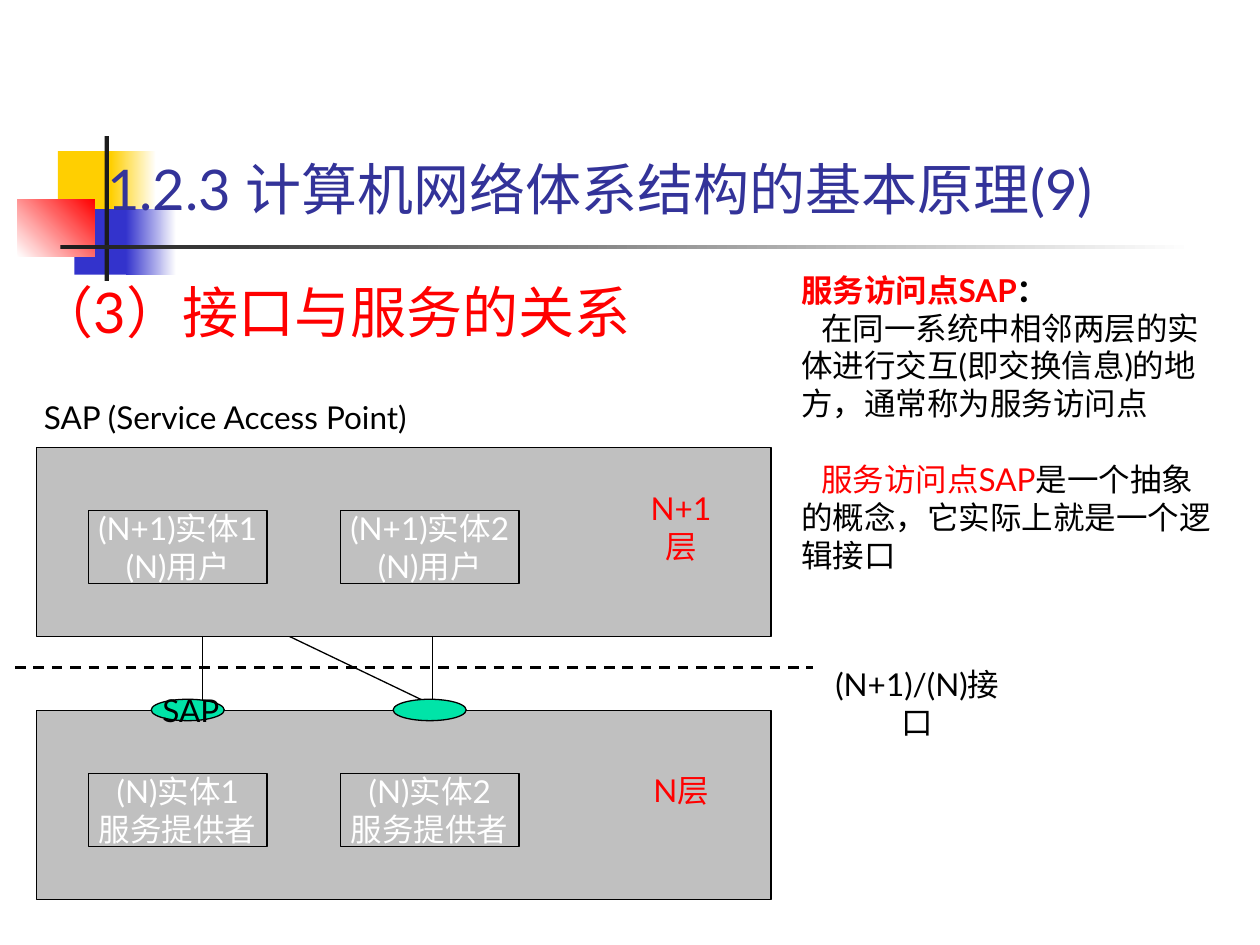
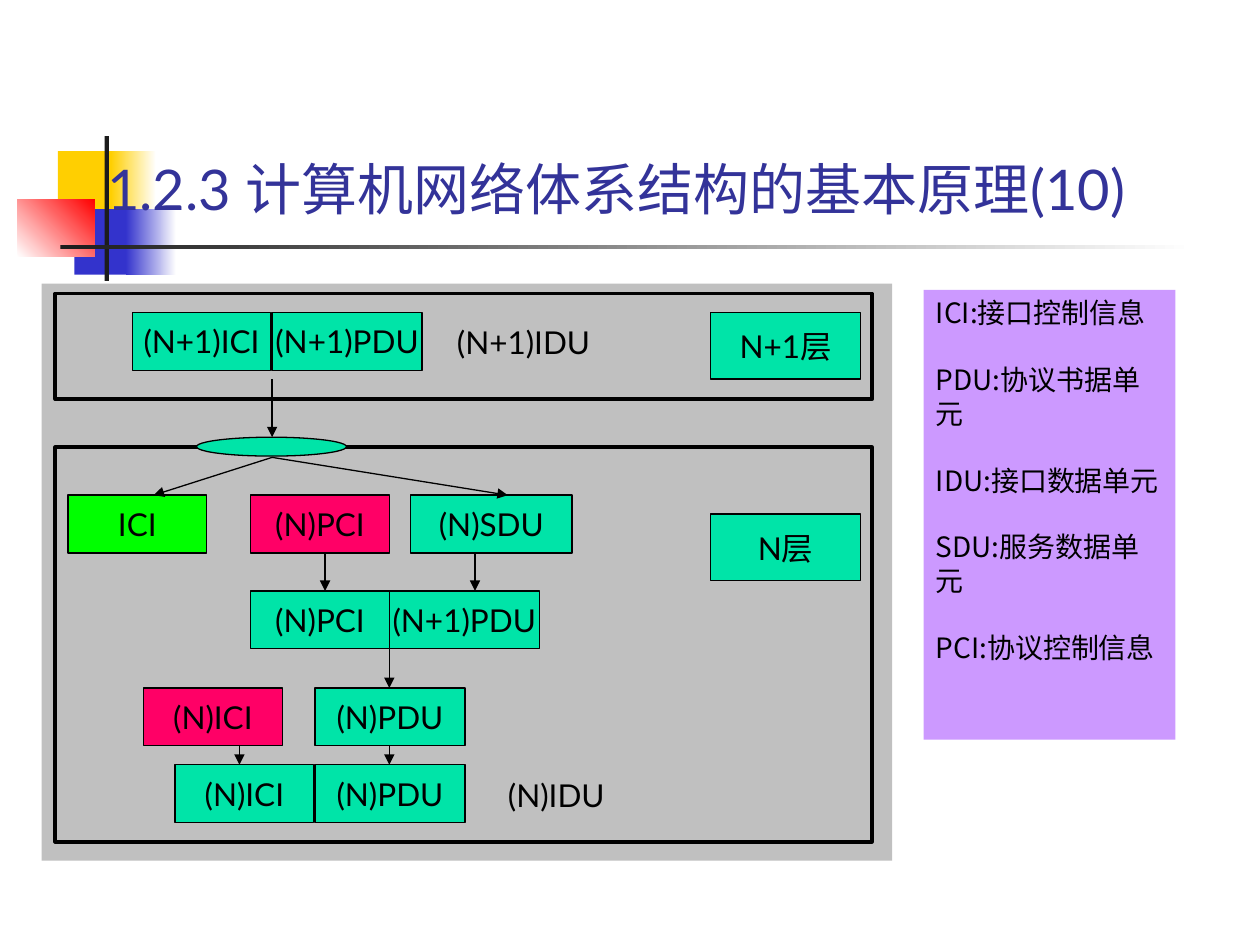
from lxml.etree import SubElement
from pptx import Presentation
from pptx.dml.color import RGBColor
from pptx.enum.dml import MSO_LINE
from pptx.enum.shapes import MSO_CONNECTOR, MSO_SHAPE
from pptx.enum.text import MSO_ANCHOR as Anchor, MSO_AUTO_SIZE, PP_ALIGN as Align
from pptx.oxml.ns import qn
from pptx.util import Inches, Pt

COLORS = {
    "black": "000000", "white": "FFFFFF", "red": "FF0000", "title": "333399",
    "gray": "C0C0C0", "mint": "00E4A8", "green": "00FF00", "pink": "FF0066",
    "lilac": "CC99FF", "yellow": "FFCF01", "blue": "3333CC", "ink": "1C1C1C",
}
LATIN, HAN = "Lato", "Noto Sans CJK SC"
TITLE_LAYOUT, LIST_LAYOUT = 5, 1
GRID_COLUMNS = 100  # square cells; the slide is 100 columns by 75 rows


def rgb(name):
    return RGBColor.from_string(COLORS[name])


class Deck:
    """Shared style and the slide being drawn; all lengths are grid cells."""

    def __init__(self):
        self.presentation = Presentation()
        self.presentation.slide_width = Inches(10)
        self.presentation.slide_height = Inches(7.5)
        self.cell = self.presentation.slide_width / GRID_COLUMNS
        self.slide = None

    def grid(self, *lengths):
        return [round(length * self.cell) for length in lengths]

    def new_slide(self, layout, title):
        layouts = self.presentation.slide_layouts
        self.slide = self.presentation.slides.add_slide(layouts[layout])
        self.placeholder(0, title, (7.5, 6.8, 89, 11.3), "title", Anchor.BOTTOM)

    def placeholder(self, index, text, area, color, anchor):
        shape = self.slide.placeholders[index]
        shape.left, shape.top, shape.width, shape.height = self.grid(*area)
        frame = shape.text_frame
        frame.text = text
        frame.auto_size = MSO_AUTO_SIZE.NONE
        self.format(frame, color, size=32, align=Align.LEFT, anchor=anchor, wrap=True)
        return frame.paragraphs[0]

    def heading(self, text, area):
        paragraph = self.placeholder(1, text, area, "red", Anchor.TOP)
        paragraph.line_spacing = 0.9
        paragraph.space_before = Pt(8)
        properties = paragraph._p.get_or_add_pPr()
        properties.set("marL", "0")
        properties.set("indent", "0")
        SubElement(properties, qn("a:buNone"))

    def style_run(self, run, color, size=18, bold=False, latin=LATIN):
        run.font.name = latin
        run.font.size = Pt(size)
        run.font.bold = bold
        run.font.color.rgb = rgb(color)
        SubElement(run._r.get_or_add_rPr(), qn("a:ea"), typeface=HAN)

    def format(self, frame, color, size=18, align=Align.CENTER,
               anchor=Anchor.MIDDLE, wrap=False, latin=LATIN):
        frame.word_wrap = wrap
        frame.vertical_anchor = anchor
        for paragraph in frame.paragraphs:
            paragraph.alignment = align
            for run in paragraph.runs:
                self.style_run(run, color, size, latin=latin)

    def shape(self, area, fill=None, line=0.75, kind=MSO_SHAPE.RECTANGLE):
        shape = self.slide.shapes.add_shape(kind, *self.grid(*area))
        shape.shadow.inherit = False
        if fill:
            shape.fill.solid()
            shape.fill.fore_color.rgb = rgb(fill)
        else:
            shape.fill.background()
        if line:
            shape.line.color.rgb = rgb("black")
            shape.line.width = Pt(line)
        else:
            shape.line.fill.background()
        return shape

    def fade(self, area, start, end, angle=0):
        fill = self.shape(area, line=0).fill
        fill.gradient()
        fill.gradient_angle = angle
        for stop, color in zip(fill.gradient_stops, (start, end)):
            stop.color.rgb = rgb(color)

    def box(self, text, area, fill="mint", color="black"):
        frame = self.shape(area, fill).text_frame
        frame.text = text
        self.format(frame, color)

    def port(self, area):
        self.shape(area, "mint", kind=MSO_SHAPE.OVAL)

    def label(self, text, area, color="black", **style):
        frame = self.slide.shapes.add_textbox(*self.grid(*area)).text_frame
        frame.text = text
        self.format(frame, color, **style)

    def rich_text(self, area, paragraphs):
        """Each paragraph is (indent, space before, [(text, color, bold), ...])."""
        frame = self.slide.shapes.add_textbox(*self.grid(*area)).text_frame
        frame.word_wrap = True
        for number, (indent, gap, pieces) in enumerate(paragraphs):
            paragraph = frame.add_paragraph() if number else frame.paragraphs[0]
            paragraph.space_before = Pt(gap)
            paragraph._p.get_or_add_pPr().set("indent", str(*self.grid(indent)))
            for text, color, bold in pieces:
                run = paragraph.add_run()
                run.text = text
                self.style_run(run, color, bold=bold)

    def glossary(self, terms, area, fill):
        frame = self.shape(area, fill, line=0).text_frame
        frame.text = "\n".join(terms)
        self.format(frame, "black", 16, Align.LEFT, Anchor.TOP, True, HAN)
        for paragraph in frame.paragraphs[1:]:
            paragraph.space_before = Pt(19)

    def line(self, start, end, width=0.75, dashed=False, arrow=False):
        connector = self.slide.shapes.add_connector(
            MSO_CONNECTOR.STRAIGHT, *self.grid(*start, *end))
        connector.line.color.rgb = rgb("black")
        connector.line.width = Pt(width)
        if dashed:
            connector.line.dash_style = MSO_LINE.DASH
        if arrow:
            SubElement(connector.line._get_or_add_ln(), qn("a:tailEnd"), type="triangle")
        SubElement(connector._element.spPr, qn("a:effectLst"))

    def arrow(self, start, end):
        self.line(start, end, arrow=True)

    def master_band(self):
        """Draw the title ornament and hand it to the slide master."""
        existing = len(self.slide.shapes)
        for left, top, solid, fading, overlap, color in (
                (4.6, 12, 4.8, 3.6, 0.6, "yellow"), (5.9, 16.6, 4.6, 4, 0.5, "blue")):
            self.shape((left, top, solid, 5.2), color, line=0)
            self.fade((left + solid - overlap, top, fading, 5.2), color, "white")
        self.fade((1.4, 15.8, 6.1, 4.6), "white", "red", angle=45)
        self.shape((8.3, 10.8, 0.35, 11.5), "ink", line=0)
        self.fade((4.8, 19.45, 90, 0.35), "ink", "white")
        tree = self.presentation.slide_master.shapes._spTree
        for number, shape in enumerate(list(self.slide.shapes)[existing:], start=100):
            shape._element.nvSpPr.cNvPr.set("id", str(number))
            tree.append(shape._element)


def service_access_points(deck):
    deck.new_slide(LIST_LAYOUT, "1.2.3 计算机网络体系结构的基本原理(9)")
    deck.master_band()
    deck.heading("（3）接口与服务的关系", (2, 22.1, 73.3, 6.3))
    deck.label("(N+1)/(N)接口", (64.9, 52.9, 15.8, 5.8))

    # Links between the layers
    for start, end in (((16.1, 56), (16.1, 46.8)),
                       ((16.9, 47.6), (36.1, 56.8)),
                       ((34.3, 46.8), (34.3, 56))):
        deck.line(start, end)

    # Two layers with two entities each
    layers = (("N+1层", "(N+1)实体", "(N)用户"), ("N层", "(N)实体", "服务提供者"))
    for row, (layer, entity, role) in enumerate(layers):
        top = 35.5 + 20.9 * row
        deck.shape((2.9, top, 58.3, 15), "gray")
        deck.label(layer, (50.3, top + 4.2, 7.5, 4.2), "red")
        for column in range(2):
            deck.box(f"{entity}{column + 1}\n{role}",
                     (7 + 20 * column, top + 5, 14.2, 5.8), "gray", "white")

    # Access points and the interface line
    for left in (12, 31.2):
        deck.port((left, 55.5, 5.8, 1.7))
    deck.line((1.2, 53), (64.5, 53), width=1.5, dashed=True)
    deck.label("SAP", (11.8, 54.2, 6.7, 4.2))
    deck.label("SAP (Service Access Point)", (2.5, 31.1, 32.2, 4),
               align=Align.LEFT, anchor=Anchor.TOP)

    # Definition
    deck.rich_text((62.6, 21, 34.6, 25), (
        (0, 0, [("服务访问点SAP", "red", True), ("：", "black", True)]),
        (1.6, 0, [("在同一系统中相邻两层的实体进行交互(即交换信息)的地方，"
                   "通常称为服务访问点", "black", False)]),
        (1.6, 22, [("服务访问点SAP", "red", False),
                   ("是一个抽象的概念，它实际上就是一个逻辑接口", "black", False)]),
    ))


def data_units(deck):
    deck.new_slide(TITLE_LAYOUT, "1.2.3 计算机网络体系结构的基本原理(10)")
    control, data, height = 11, 11.9, 4.6  # widths of the unit parts, and their height

    # Background and layer frames
    deck.shape((3.3, 22.5, 67.5, 45.8), "gray", line=0)
    for top, frame_height in ((23.3, 8.4), (35.5, 31.3)):
        deck.shape((4.4, top, 64.8, frame_height), line=2.25)
    for name, top in (("N+1层", 24.8), ("N层", 40.8)):
        deck.box(name, (56.4, top, data, 5.3))

    # Unit parts, row by row
    for top, parts in (
            (24.8, (("(N+1)ICI", 10.5, control, "mint"), ("(N+1)PDU", 21.6, data, "mint"))),
            (39.3, (("ICI", 5.4, control, "green"), ("(N)PCI", 19.9, control, "pink"),
                    ("(N)SDU", 32.6, 12.8, "mint"))),
            (46.9, (("(N)PCI", 19.9, control, "mint"), ("(N+1)PDU", 30.9, data, "mint"))),
            (54.6, (("(N)ICI", 11.4, control, "pink"), ("(N)PDU", 25, data, "mint"))),
            (60.7, (("(N)ICI", 13.9, control, "mint"), ("(N)PDU", 25, data, "mint")))):
        for text, left, width, fill in parts:
            deck.box(text, (left, top, width, height), fill)
    for text, left, top in (("(N+1)IDU", 34.3, 25.6), ("(N)IDU", 36.9, 61.5)):
        deck.label(text, (left, top, 14.5, 3.1))

    # Flow through the access point
    deck.arrow((21.6, 30.1), (21.6, 34.7))
    deck.port((15.6, 34.7, data, 1.5))
    for target in (12.2, 40.3):
        deck.arrow((21.6, 36.3), (target, 39.3))
    for column, start, end in ((25.8, 43.9, 46.9), (37.7, 43.9, 46.9),
                               (30.9, 51.5, 54.6), (19, 59.2, 60.7), (30.9, 59.2, 60.7)):
        deck.arrow((column, start), (column, end))

    # Abbreviations
    deck.glossary(("ICI:接口控制信息", "PDU:协议书据单元", "IDU:接口数据单元",
                   "SDU:服务数据单元", "PCI:协议控制信息"), (73.3, 23, 20, 35.7), "lilac")


def main():
    deck = Deck()
    service_access_points(deck)
    data_units(deck)
    deck.presentation.save("out.pptx")


if __name__ == "__main__":
    main()
